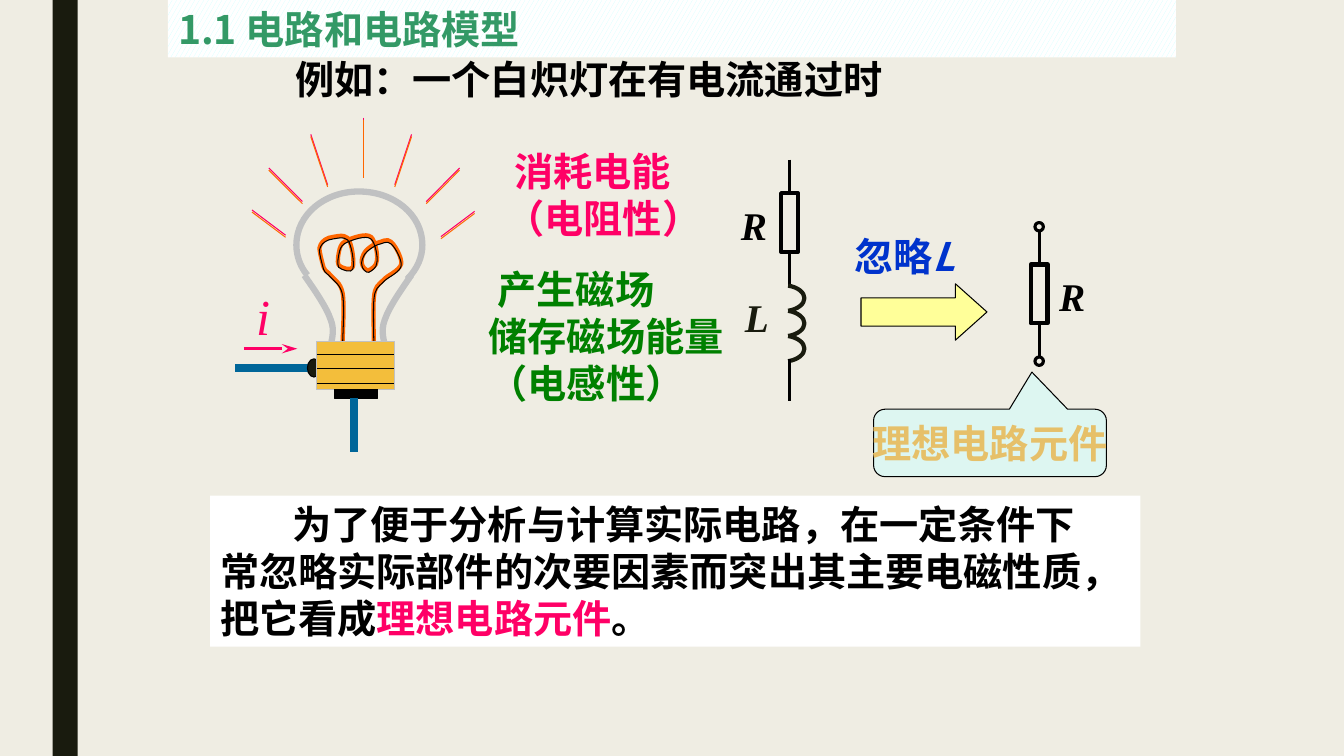
from dataclasses import dataclass
from typing import NamedTuple

from lxml import etree
from pptx import Presentation
from pptx.dml import color
from pptx.enum import dml, shapes, text
from pptx.oxml import ns
from pptx.util import Pt

BLACK, PINK, ORANGE, GREEN = "000000", "FF0066", "FF6600", "008000"
SILVER, INK, WIRE = "C0C1C2", "191B0E", "006699"
SERIF, SANS = "Times New Roman", "Noto Sans CJK SC"
Point = tuple[float, float]


class Run(NamedTuple):
    words: str
    color: str = BLACK
    font: str = SERIF
    size: float = 28
    bold: bool = True
    italic: bool = False


class Box(NamedTuple):
    left: float
    top: float
    width: float
    height: float


@dataclass
class Caption:
    box: Box
    lines: list[list[Run]]
    align: text.PP_ALIGN = text.PP_ALIGN.LEFT


@dataclass
class Resistor:
    axis: float
    top: float
    label_dx: float
    terminals: bool


def rgb(hex_color: str) -> color.RGBColor:
    return color.RGBColor.from_string(hex_color)


def add_xml(parent, tag: str, **attributes: str):
    return etree.SubElement(parent, ns.qn(tag), attributes)


def write(tf, lines: list[list[Run]], align=text.PP_ALIGN.LEFT, wrap: bool = True) -> None:
    frame_format = {"word_wrap": wrap, "auto_size": text.MSO_AUTO_SIZE.NONE,
                    "vertical_anchor": text.MSO_ANCHOR.MIDDLE}
    for name, value in frame_format.items():
        setattr(tf, name, value)
    for i, runs in enumerate(lines):
        p = tf.add_paragraph() if i else tf.paragraphs[0]
        p_format = {"alignment": align, "space_before": Pt(0),
                    "line_spacing": Pt(1.2 * runs[0].size)}
        for name, value in p_format.items():
            setattr(p, name, value)
        for run in runs:
            r = p.add_run()
            r.text = run.words
            r_format = {"name": run.font, "size": Pt(run.size),
                        "bold": run.bold, "italic": run.italic}
            for name, value in r_format.items():
                setattr(r.font, name, value)
            r.font.color.rgb = rgb(run.color)
            add_xml(r._r.get_or_add_rPr(), "a:ea", typeface=SANS)


def place(sp, box: Box) -> None:
    for name, value in box._asdict().items():
        setattr(sp, name, Pt(value))


def paint(sp, fill: str | None, line: str | None, weight: float) -> None:
    sp.shadow.inherit = False
    if fill:
        sp.fill.solid()
        sp.fill.fore_color.rgb = rgb(fill)
    else:
        sp.fill.background()
    if line:
        sp.line.color.rgb = rgb(line)
        sp.line.width = Pt(weight)
    else:
        sp.line.fill.background()


def add_preset(s, kind, box: Box, fill: str | None = None,
               line: str | None = BLACK, weight: float = 0.75):
    sp = s.shapes.add_shape(kind, *map(Pt, box))
    paint(sp, fill, line, weight)
    return sp


def add_line(s, start: Point, end: Point, hex_color: str = BLACK, weight: float = 0.75):
    cx = s.shapes.add_connector(shapes.MSO_CONNECTOR.STRAIGHT, *map(Pt, start + end))
    cx.line.color.rgb = rgb(hex_color)
    cx.line.width = Pt(weight)
    add_xml(cx._element.spPr, "a:effectLst")
    return cx


def add_curve(s, knots: list[Point], hex_color: str, weight: float, dy: float = 0) -> None:
    """Draw chained cubic Bezier curves: a start, then two handles and an end each."""
    start, *rest = [(Pt(x), Pt(y + dy)) for x, y in knots]
    builder = s.shapes.build_freeform(*start)
    builder.add_line_segments(rest, close=False)
    sp = builder.convert_to_shape()
    segments = list(sp._element.iter(ns.qn("a:lnTo")))
    outline = segments[0].getparent()
    for i in range(0, len(segments), 3):
        bezier = add_xml(outline, "a:cubicBezTo")
        for segment in segments[i:i + 3]:
            bezier.append(segment[0])
            outline.remove(segment)
    paint(sp, None, hex_color, weight)


def add_caption(s, caption: Caption) -> None:
    write(s.shapes.add_textbox(*map(Pt, caption.box)).text_frame, caption.lines, caption.align)


def add_symbol(s, letter: str, x: float, y: float, **style) -> None:
    run = Run(letter, italic=True, **style)
    add_caption(s, Caption(Box(x - 20, y - 24, 40, 48), [[run]], text.PP_ALIGN.CENTER))


def add_resistor(s, part: Resistor) -> None:
    width, height, lead, dot = 12, 42, 24, 6
    x, top, bottom = part.axis, part.top, part.top + height
    body = add_preset(s, RECT, Box(x - width / 2, top, width, height), weight=3)
    add_line(s, (x, top - lead), (x, top), weight=2.25).end_connect(body, 0)
    add_line(s, (x, bottom), (x, bottom + lead), weight=2.25).begin_connect(body, 2)
    if part.terminals:
        for y in (top - lead - dot, bottom + lead):
            add_preset(s, OVAL, Box(x - dot / 2, y, dot, dot), weight=2.25)
    add_symbol(s, "R", x + part.label_dx, top + height / 2 + 1.5)


RECT, OVAL = shapes.MSO_SHAPE.RECTANGLE, shapes.MSO_SHAPE.OVAL
FILAMENT = [
    (244.8, 244.1), (244.8, 238.3), (246.2, 217.4), (244.8, 209.5), (243.4, 201.6),
    (238.3, 199.4), (236.2, 196.6), (234, 193.7), (232.6, 194.4), (231.1, 190.8),
    (230.4, 187.9), (228.2, 180.7), (228.2, 177.1), (229, 173.5), (231.1, 171.4),
    (234.7, 169.9), (238.3, 169.2), (245.5, 167), (248.4, 169.9), (251.3, 173.5),
    (253.4, 187.2), (252, 190.8), (251.3, 193.7), (244.1, 191.5), (241.9, 189.4),
    (240.5, 187.2), (241.9, 180.7), (242.6, 177.8), (243.4, 175), (244.8, 172.8),
    (248.4, 171.4), (252, 169.9), (261.4, 166.3), (265, 169.2), (267.8, 171.4),
    (270, 181.4), (269.3, 185.8), (269.3, 190.1), (265, 192.2), (263.5, 193),
    (261.4, 193.7), (258.5, 190.1), (258.5, 187.9), (257.8, 185.8), (259.2, 182.2),
    (260.6, 180), (262.8, 177.1), (266.4, 175), (269.3, 173.5), (272.9, 172.8),
    (276.5, 169.9), (279.4, 172.8), (282.2, 175), (287.3, 184.3), (286.6, 188.6),
    (285.1, 193.7), (276.5, 196.6), (273.6, 200.2), (270, 203.8), (267.8, 204.5),
    (267.1, 212.4), (266.4, 220.3), (267.1, 239.8), (267.1, 247.7)]
GLASS = [
    (219.6, 196.6), (214.6, 190.8), (211.7, 182.9), (211.7, 175), (211.7, 153.4),
    (231.8, 136.8), (256.3, 136.8), (281.5, 136.8), (301.7, 153.4), (301.7, 175),
    (301.7, 183.6), (298.1, 192.2), (290.9, 199.4)]
NECK = [(217.4, 196.6), (225.4, 208.1), (233.3, 219.6), (236.2, 228.2),
        (239.8, 236.9), (236.2, 244.1), (236.2, 248.4)]
RAYS = [((259.4, 84), (259.4, 126)), ((222, 96), (234, 132)), ((192, 120), (216, 144)),
        ((180, 150), (204, 168)), ((294, 96), (282, 132)), ((328.3, 120), (304.5, 144)),
        ((339, 151), (315, 169))]
CAPTIONS = [
    Caption(Box(203.8, 36, 462, 41), [[Run("例如：一个白炽灯在有电流通过时")]]),
    Caption(Box(354, 102, 156, 74), [[Run(" 消耗电能", PINK, SANS)], [Run("（电阻性）", PINK, SANS)]]),
    Caption(Box(342, 186, 222, 108), [[Run(words, GREEN, SANS)] for words in
                                      (" 产生磁场", "储存磁场能量", "（电感性）")]),
    Caption(Box(597, 162, 114, 41), [[Run(" 忽略", "0033CC", SANS),
                                      Run("L", "0033CC", SANS, italic=True)]])]


def add_bulb(s) -> None:
    add_curve(s, FILAMENT, ORANGE, 3)
    for hex_color, dy in ((PINK, 0), (ORANGE, 1.5)):
        for (x1, y1), (x2, y2) in RAYS:
            add_line(s, (x1, y1 + dy), (x2, y2 + dy), hex_color)
    for outline in (GLASS, NECK, [(511.2 - x, y) for x, y in NECK]):
        add_curve(s, outline, SILVER, 4.5)
    add_curve(s, FILAMENT, BLACK, 0.75, dy=1.5)
    add_line(s, (168, 262.8), (222.5, 262.8), WIRE, 6)
    add_preset(s, OVAL, Box(219.6, 256.3, 9.4, 13), INK)
    add_preset(s, RECT, Box(226.3, 243.7, 55.4, 34.6), "F3BE3B", SILVER)
    for thread in range(3):
        y = 253.4 + 10.1 * thread
        add_line(s, (226.3, y), (281.7, y))
    add_preset(s, RECT, Box(239, 278, 31, 6.5), BLACK)
    add_line(s, (252.7, 284.4), (252.7, 322.6), WIRE, 6)
    add_symbol(s, "i", 188, 225, color=PINK, size=36, bold=False)
    current = add_line(s, (174.2, 249.1), (212.4, 249.1), PINK, 2.25)
    add_xml(current.line._get_or_add_ln(), "a:tailEnd", type="stealth", len="lg")


def add_inductor(s) -> None:
    turn = [(563, 0), (570.2, 1.2), (574.6, 5), (574.6, 9),
            (574.6, 13), (570.2, 16.8), (563, 18)]
    for n in range(3):
        add_curve(s, turn, INK, 3, dy=204 + 18 * n)
    add_line(s, (564, 256.5), (564, 286.6), weight=2.25)
    add_symbol(s, "L", 540.7, 226, color=INK)


def fill_placeholders(s) -> None:
    title, body = s.shapes.title, s.placeholders[1]
    place(title, Box(120, 0, 720, 41))
    title.fill.patterned()
    title.fill.pattern = dml.MSO_PATTERN.LARGE_CONFETTI
    title.fill.fore_color.rgb, title.fill.back_color.rgb = rgb("CCFFFF"), rgb("FFFFFF")
    write(title.text_frame, [[Run("1.1 电路和电路模型", "339966", SANS)]])
    place(body, Box(150, 354, 664.6, 108))
    paint(body, "FFFFFF", None, 0)
    write(body.text_frame, [
        [Run("为了便于分析与计算实际电路，在一定条件下")],
        [Run("常忽略实际部件的次要因素而突出其主要电磁性质，")],
        [Run("把它看成"), Run("理想电路元件", PINK), Run("。")]])
    for i, p in enumerate(body.text_frame.paragraphs):
        pPr = p._p.get_or_add_pPr()
        pPr.set("marL", "0")
        pPr.set("indent", str(0 if i else Pt(51.5)))
        add_xml(pPr, "a:buNone")


def main() -> None:
    prs = Presentation()
    prs.slide_width, prs.slide_height = Pt(960), Pt(540)
    s = prs.slides.add_slide(prs.slide_layouts[1])
    s.background.fill.solid()
    s.background.fill.fore_color.rgb = rgb("EFEDE3")
    fill_placeholders(s)
    add_preset(s, RECT, Box(37.5, 0, 18, 540), INK, None)
    add_bulb(s)
    for part in (Resistor(564, 138, -25.5, False), Resistor(742.3, 189, 23.5, True)):
        add_resistor(s, part)
    add_inductor(s)
    for caption in CAPTIONS:
        add_caption(s, caption)
    arrow = add_preset(s, shapes.MSO_SHAPE.RIGHT_ARROW, Box(615, 202.7, 90, 40.3), "FFFF99")
    arrow.adjustments[1] = 0.56
    callout = add_preset(s, shapes.MSO_SHAPE.ROUNDED_RECTANGULAR_CALLOUT,
                         Box(624, 292.3, 166.3, 48.2), "CCFFFF")
    for i, value in enumerate((0.18, -1.05, 0.17)):
        callout.adjustments[i] = value
    add_xml(callout._element.spPr.find(".//" + ns.qn("a:srgbClr")), "a:alpha", val="50000")
    write(callout.text_frame, [[Run("理想电路元件", "E6C069")]], text.PP_ALIGN.CENTER, wrap=False)
    prs.save("out.pptx")


if __name__ == "__main__":
    main()
